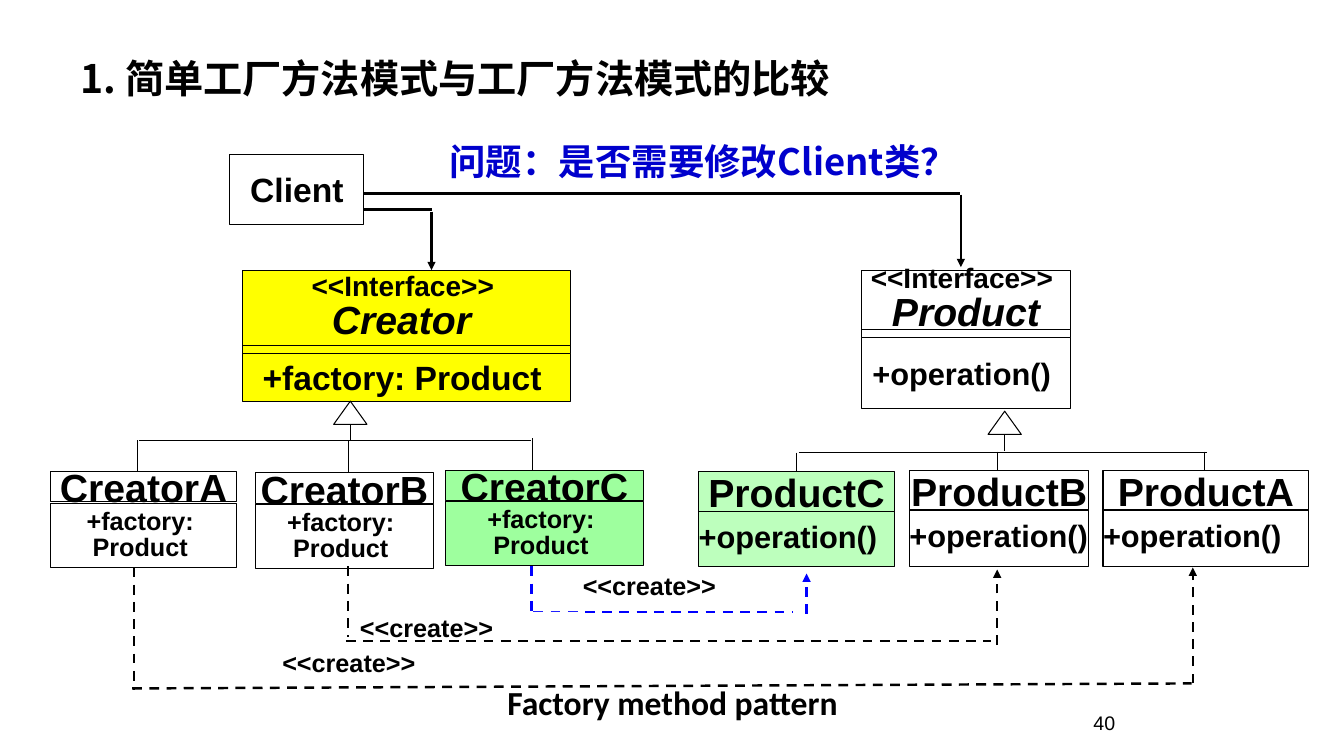
from dataclasses import dataclass

from lxml import etree
from pptx import Presentation
from pptx.dml.color import RGBColor
from pptx.enum.dml import MSO_LINE
from pptx.enum.shapes import MSO_CONNECTOR, MSO_SHAPE
from pptx.enum.text import MSO_ANCHOR, PP_ALIGN
from pptx.oxml.ns import qn
from pptx.util import Inches, Pt

RECTANGLE = MSO_SHAPE.RECTANGLE
TRIANGLE = MSO_SHAPE.ISOSCELES_TRIANGLE
STRAIGHT = MSO_CONNECTOR.STRAIGHT
DASH = MSO_LINE.DASH
LEFT, CENTER, RIGHT = PP_ALIGN.LEFT, PP_ALIGN.CENTER, PP_ALIGN.RIGHT
TOP, MIDDLE = MSO_ANCHOR.TOP, MSO_ANCHOR.MIDDLE
CJK = "Noto Sans CJK SC"
COLORS = {"black": "000000", "white": "FFFFFF", "yellow": "FFFF00",
          "green": "00FF00", "blue": "0000FF", "navy": "0000CC"}
THIN, THICK = 0.75, 1.75


@dataclass
class Para:
    text: str
    size: float
    align: PP_ALIGN = CENTER
    spacing: float = 1.0
    bold: bool = True
    italic: bool = False
    font: str = "Arial"
    color: str = "black"


@dataclass
class Interface:
    left: float
    width: float
    header_height: float
    body_height: float
    name: str
    member: Para
    fill: str


@dataclass
class ConcreteClass:
    name: str
    left: float
    top: float
    width: float
    header_height: float
    body_top: float
    body_height: float
    members: list[Para]
    fill: str = "white"
    opacity: int = 100


@dataclass
class Line:
    x1: float
    y1: float
    x2: float
    y2: float
    width: float = THIN
    color: str = "black"
    dashed: bool = False
    arrow: bool = False


@dataclass
class TextBox:
    left: float
    top: float
    width: float
    height: float
    para: Para
    anchor: MSO_ANCHOR = MIDDLE


def rgb(name: str) -> RGBColor:
    return RGBColor.from_string(COLORS[name])


def write(frame, paras: list[Para], anchor: MSO_ANCHOR, wrap: bool, side=0.0, edge=0.0) -> None:
    frame.word_wrap = wrap
    frame.vertical_anchor = anchor
    frame.margin_left = frame.margin_right = Inches(side)
    frame.margin_top = frame.margin_bottom = Inches(edge)
    for index, item in enumerate(paras):
        para = frame.add_paragraph() if index else frame.paragraphs[0]
        para.text = item.text
        para.alignment = item.align
        para.line_spacing = item.spacing
        font = para.font
        font.size, font.bold, font.italic = Pt(item.size), item.bold, item.italic
        font.color.rgb = rgb(item.color)
        font.name = item.font
        if item.font == CJK:
            etree.SubElement(font._element, qn("a:ea"), typeface=CJK)


def draw_shape(page, kind, left: float, top: float, width: float, height: float,
               fill="white", opacity=100, outlined=True):
    shape = page.shapes.add_shape(kind, Inches(left), Inches(top), Inches(width), Inches(height))
    shape.shadow.inherit = False
    shape.fill.solid()
    shape.fill.fore_color.rgb = rgb(fill)
    if opacity < 100:
        tint = shape._element.spPr.find(qn("a:solidFill"))[0]
        etree.SubElement(tint, qn("a:alpha"), val=str(opacity * 1000))
    if outlined:
        shape.line.color.rgb = rgb("black")
        shape.line.width = Pt(THIN)
    else:
        shape.line.fill.background()
    return shape


def draw_line(page, line: Line) -> None:
    connector = page.shapes.add_connector(
        STRAIGHT, Inches(line.x1), Inches(line.y1), Inches(line.x2), Inches(line.y2))
    connector.line.color.rgb = rgb(line.color)
    connector.line.width = Pt(line.width)
    if line.dashed:
        connector.line.dash_style = DASH
    if line.arrow:
        etree.SubElement(connector.line._get_or_add_ln(), qn("a:tailEnd"), type="triangle")
    etree.SubElement(connector._element.spPr, qn("a:effectLst"))


def draw_interface(page, item: Interface) -> None:
    top, band = 2.68, 0.08
    header = draw_shape(page, RECTANGLE, item.left, top, item.width, item.header_height, item.fill)
    write(header.text_frame, [Para("<<Interface>> ", 20, spacing=0.85),
                              Para(item.name, 28, spacing=0.85, italic=True)], MIDDLE, False)
    band_top = top + item.header_height
    body = draw_shape(page, RECTANGLE, item.left, band_top + band, item.width,
                      item.body_height, item.fill)
    write(body.text_frame, [item.member], MIDDLE, False)
    draw_shape(page, RECTANGLE, item.left, band_top, item.width, band, item.fill)


def draw_class(page, item: ConcreteClass) -> None:
    parts = ((item.top, item.header_height, [Para(item.name, 28)]),
             (item.body_top, item.body_height, item.members))
    for top, height, paras in parts:
        part = draw_shape(page, RECTANGLE, item.left, top, item.width, height,
                          item.fill, item.opacity)
        write(part.text_frame, paras, MIDDLE, False)


def draw_generalization(page, left: float, top: float) -> None:
    width, height, stem = 0.33, 0.23, 0.16
    draw_shape(page, TRIANGLE, left, top, width, height)
    middle, base = left + width / 2, top + height
    draw_line(page, Line(middle, base, middle, base + stem))


def draw_text(page, item: TextBox) -> None:
    box = page.shapes.add_textbox(Inches(item.left), Inches(item.top),
                                  Inches(item.width), Inches(item.height))
    write(box.text_frame, [item.para], item.anchor, True, 0.1, 0.05)


FACTORY = [Para("+factory: ", 18, spacing=0.85), Para("Product ", 18, spacing=0.85)]
OPERATION = [Para("+operation()", 22, LEFT, 0.85)]

INTERFACES = [
    Interface(2.41, 3.25, 0.75, 0.47, "Creator ", Para("+factory: Product ", 24), "yellow"),
    Interface(8.54, 2.08, 0.59, 0.7, "Product", Para("+operation() ", 22), "white"),
]
CLASSES = [
    ConcreteClass("CreatorA", 0.5, 4.68, 1.85, 0.3, 5, 0.63, FACTORY),
    ConcreteClass("CreatorB", 2.53, 4.69, 1.77, 0.31, 5.01, 0.63, FACTORY),
    ConcreteClass("CreatorC", 4.42, 4.67, 1.96, 0.3, 4.98, 0.63, FACTORY, "green", 38),
    ConcreteClass("ProductC", 6.93, 4.68, 1.94, 0.4, 5.07, 0.55, OPERATION, "green", 26),
    ConcreteClass("ProductB", 9.02, 4.67, 1.78, 0.39, 5.06, 0.56, OPERATION),
    ConcreteClass("ProductA", 10.94, 4.67, 2.04, 0.39, 5.06, 0.56, OPERATION),
]
INHERITANCE = [
    Line(1.38, 4.37, 5.27, 4.37), Line(1.36, 4.37, 1.36, 4.68),
    Line(3.46, 4.37, 3.46, 4.68), Line(5.28, 4.35, 5.28, 4.67),
    Line(7.92, 4.49, 11.97, 4.49), Line(7.9, 4.49, 7.9, 4.68),
    Line(9.89, 4.48, 9.89, 4.67), Line(11.95, 4.48, 11.95, 4.67),
]
CLIENT_USES = [
    Line(4.28, 2.08, 3.61, 2.08, THICK), Line(4.28, 2.1, 4.28, 2.68, THICK, arrow=True),
    Line(3.61, 1.92, 9.52, 1.92, THICK), Line(9.53, 1.93, 9.53, 2.65, THICK, arrow=True),
]
CREATE_C = [
    Line(5.27, 5.62, 5.27, 6.09, THICK, "blue", True),
    Line(5.29, 6.07, 7.86, 6.07, THICK, "blue", True),
    Line(8, 6.09, 8, 5.69, THICK, "blue", True, True),
]
CREATE_A_B = [
    Line(3.45, 5.62, 3.45, 6.32, THICK, dashed=True),
    Line(3.43, 6.36, 9.83, 6.36, THICK, dashed=True),
    Line(9.89, 6.4, 9.89, 5.65, THICK, dashed=True, arrow=True),
    Line(1.33, 5.63, 1.33, 6.85, THICK, dashed=True),
    Line(1.31, 6.83, 11.82, 6.78, THICK, dashed=True),
    Line(11.83, 6.78, 11.83, 5.63, THICK, dashed=True, arrow=True),
]
CREATE_LABELS = [(5.76, 5.66, 1.61), (3.55, 6.07, 2.25), (2.78, 6.42, 1.83)]
TEXTS = [
    TextBox(8.83, 6.91, 2.33, 0.52, Para("40", 14, RIGHT, bold=False)),
    TextBox(2.17, 6.83, 9, 0.42,
            Para("Factory method pattern", 24, spacing=0.7, font="Calibri"), TOP),
    TextBox(4.36, 1.33, 5.42, 0.54,
            Para("问题：是否需要修改Client类？", 26, LEFT, font=CJK, color="navy"), TOP),
    TextBox(0.7, 0.38, 8.25, 0.85,
            Para("1. 简单工厂方法模式与工厂方法模式的比较", 28, LEFT, 0.9, font=CJK)),
]


def main() -> None:
    deck = Presentation()
    deck.slide_width, deck.slide_height = Inches(13.33), Inches(7.5)
    page = deck.slides.add_slide(deck.slide_layouts[6])
    for interface in INTERFACES:
        draw_interface(page, interface)
    client = draw_shape(page, RECTANGLE, 2.28, 1.53, 1.33, 0.7)
    write(client.text_frame, [Para("Client", 24)], MIDDLE, False)
    for concrete in CLASSES:
        draw_class(page, concrete)
    for left, top in ((3.31, 3.98), (9.8, 4.08)):
        draw_generalization(page, left, top)
    for line in INHERITANCE + CLIENT_USES + CREATE_C:
        draw_line(page, line)
    for left, top, width in CREATE_LABELS:
        label = draw_shape(page, RECTANGLE, left, top, width, 0.3, outlined=False)
        write(label.text_frame, [Para("<<create>>", 18, LEFT)], TOP, True, 0.02)
    for line in CREATE_A_B:
        draw_line(page, line)
    for text in TEXTS:
        draw_text(page, text)
    deck.save("out.pptx")


if __name__ == "__main__":
    main()
